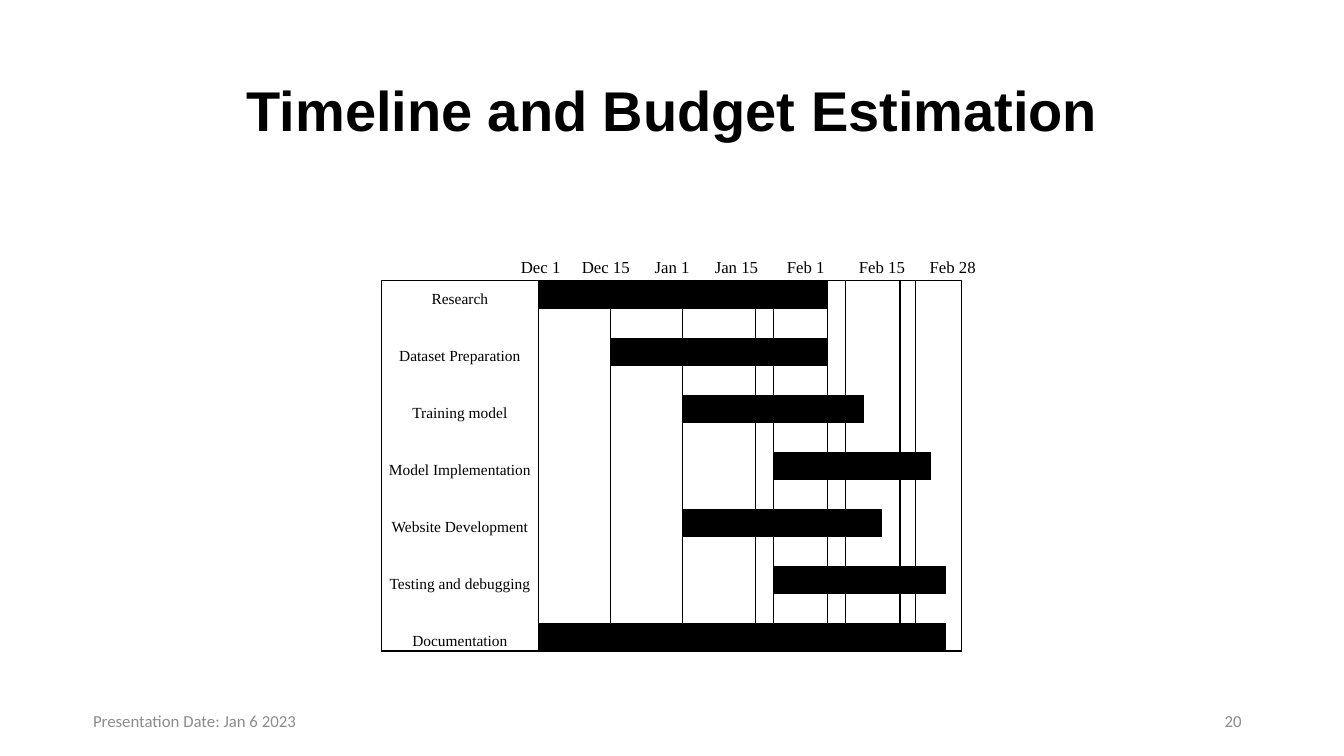
from dataclasses import dataclass

from lxml.etree import SubElement
from pptx import Presentation
from pptx.dml.color import RGBColor
from pptx.enum.shapes import MSO_SHAPE
from pptx.enum.text import MSO_ANCHOR, PP_ALIGN
from pptx.oxml.ns import qn
from pptx.slide import Slide
from pptx.table import Table, _Cell
from pptx.text.text import TextFrame, _Paragraph
from pptx.util import Pt

BLACK = RGBColor(0x00, 0x00, 0x00)
WHITE = RGBColor(0xFF, 0xFF, 0xFF)
GREY = RGBColor(0x8C, 0x8C, 0x8C)

SERIF = "Times New Roman"
PLAIN_TABLE_STYLE = "{2D5ABB26-0587-4C30-8999-92F81FD0307C}"

GANTT_LEFT, GANTT_TOP = 272.6, 200.4
ROW_HEIGHT = 20.37
COLUMN_WIDTHS = [111.8] + [51.7] * 3 + [12.93] * 8 + [11] * 4
PERIOD_ENDS = {0, 1, 2, 3, 7, 11, 15}


@dataclass(frozen=True)
class Caption:
    text: str
    left: float
    top: float
    width: float
    height: float
    size: float
    font: str
    color: RGBColor
    align: PP_ALIGN
    bold: bool = False
    line_spacing: float = 1.0


@dataclass(frozen=True)
class Task:
    name: str
    first: int
    last: int


@dataclass(frozen=True)
class DateMark:
    label: str
    offset: float


CAPTIONS = [
    Caption("Timeline and Budget Estimation", 66, 28.8, 828, 104.4, 40, "Arial",
            BLACK, PP_ALIGN.CENTER, True, 0.9),
    Caption("20", 678, 500.4, 216, 28.8, 12, "Calibri", GREY, PP_ALIGN.RIGHT),
    Caption("Presentation Date: Jan 6 2023", -23, 500.4, 324, 28.8, 12, "Calibri",
            GREY, PP_ALIGN.CENTER),
]

TASKS = [
    Task("Research", 1, 7),
    Task("Dataset Preparation", 2, 7),
    Task("Training model", 3, 9),
    Task("Model Implementation", 5, 13),
    Task("Website Development", 3, 10),
    Task("Testing and debugging", 5, 14),
    Task("Documentation", 1, 14),
]

DATE_MARKS = [
    DateMark("Dec 1", 0),
    DateMark("Dec 15", 43.5),
    DateMark("Jan 1", 95.6),
    DateMark("Jan 15", 138.5),
    DateMark("Feb 1", 190),
    DateMark("Feb 15", 241.4),
    DateMark("Feb 28", 292),
]


def add_run(paragraph: _Paragraph, text: str, size: float, font: str,
            color: RGBColor, bold: bool = False) -> None:
    run = paragraph.add_run()
    run.text = text
    run.font.size = Pt(size)
    run.font.name = font
    run.font.bold = bold
    run.font.color.rgb = color


def add_caption(slide: Slide, caption: Caption) -> None:
    box = slide.shapes.add_textbox(Pt(caption.left), Pt(caption.top),
                                   Pt(caption.width), Pt(caption.height))
    frame: TextFrame = box.text_frame
    frame.word_wrap = True
    frame.vertical_anchor = MSO_ANCHOR.MIDDLE
    paragraph = frame.paragraphs[0]
    paragraph.alignment = caption.align
    paragraph.line_spacing = caption.line_spacing
    add_run(paragraph, caption.text, caption.size, caption.font, caption.color,
            caption.bold)


def add_border(cell: _Cell, side: str) -> None:
    properties = cell._tc.get_or_add_tcPr()
    line = SubElement(properties, qn(f"a:ln{side}"), w=str(Pt(1)))
    fill = SubElement(line, qn("a:solidFill"))
    SubElement(fill, qn("a:srgbClr"), val=str(BLACK))


def style_cell(cell: _Cell, row: int, column: int, row_count: int,
               filled: bool) -> None:
    edges = {
        "L": column == 0 or column - 1 in PERIOD_ENDS,
        "R": column in PERIOD_ENDS,
        "T": row == 0,
        "B": row == row_count - 1,
    }
    for side, drawn in edges.items():
        if drawn:
            add_border(cell, side)
    if filled:
        cell.fill.solid()
        cell.fill.fore_color.rgb = BLACK
    else:
        cell.fill.background()
    cell.margin_left = cell.margin_right = Pt(0)
    cell.margin_top = cell.margin_bottom = Pt(0)
    cell.vertical_anchor = MSO_ANCHOR.MIDDLE


def write_task_name(cell: _Cell, name: str) -> None:
    paragraph = cell.text_frame.paragraphs[0]
    paragraph.alignment = PP_ALIGN.CENTER
    paragraph.line_spacing = 1.5
    paragraph.space_after = Pt(18)
    add_run(paragraph, name, 11, SERIF, BLACK)


def add_gantt(slide: Slide, tasks: list[Task]) -> None:
    row_count = 2 * len(tasks) - 1
    frame = slide.shapes.add_table(
        row_count, len(COLUMN_WIDTHS), Pt(GANTT_LEFT), Pt(GANTT_TOP),
        Pt(sum(COLUMN_WIDTHS)), Pt(ROW_HEIGHT * row_count))
    gantt: Table = frame.table
    gantt.first_row = gantt.horz_banding = False
    gantt._tbl.tblPr.find(qn("a:tableStyleId")).text = PLAIN_TABLE_STYLE
    for column, width in zip(gantt.columns, COLUMN_WIDTHS):
        column.width = Pt(width)
    for row in range(row_count):
        gantt.rows[row].height = Pt(ROW_HEIGHT)
        task = tasks[row // 2] if row % 2 == 0 else None
        for column in range(len(COLUMN_WIDTHS)):
            cell = gantt.cell(row, column)
            filled = task is not None and task.first <= column <= task.last
            style_cell(cell, row, column, row_count, filled)
            if task is not None and column == 0:
                write_task_name(cell, task.name)
            else:
                paragraph = cell.text_frame.paragraphs[0]
                SubElement(paragraph._p, qn("a:endParaRPr"), sz="1100")


def add_date_axis(slide: Slide, marks: list[DateMark]) -> None:
    axis = slide.shapes.add_shape(MSO_SHAPE.RECTANGLE, Pt(365), Pt(172.8),
                                  Pt(362.9), Pt(26.6))
    axis.shadow.inherit = False
    axis.fill.solid()
    axis.fill.fore_color.rgb = WHITE
    axis.line.fill.background()
    axis.text_frame.word_wrap = True
    axis.text_frame.vertical_anchor = MSO_ANCHOR.TOP
    paragraph = axis.text_frame.paragraphs[0]
    paragraph.alignment = PP_ALIGN.LEFT
    paragraph.line_spacing = 1.5
    paragraph.space_after = Pt(18)
    stops = SubElement(paragraph._p.get_or_add_pPr(), qn("a:tabLst"))
    for mark in marks:
        if mark.offset:
            SubElement(stops, qn("a:tab"), pos=str(Pt(mark.offset)), algn="l")
        add_run(paragraph, f"\t{mark.label}" if mark.offset else mark.label,
                12, SERIF, BLACK)


def main() -> None:
    presentation = Presentation()
    presentation.slide_width = Pt(960)
    presentation.slide_height = Pt(540)
    slide = presentation.slides.add_slide(presentation.slide_layouts[6])
    add_gantt(slide, TASKS)
    add_date_axis(slide, DATE_MARKS)
    for caption in CAPTIONS:
        add_caption(slide, caption)
    presentation.save("out.pptx")


if __name__ == "__main__":
    main()
